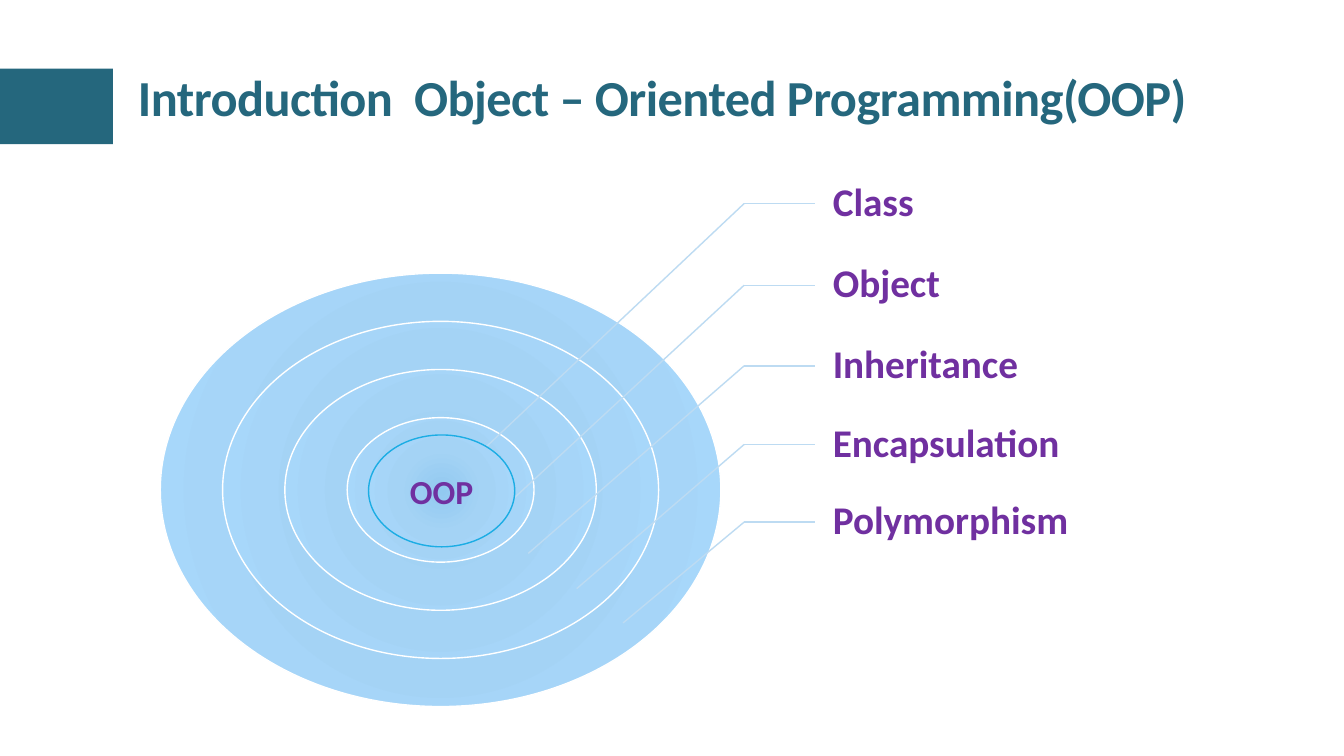
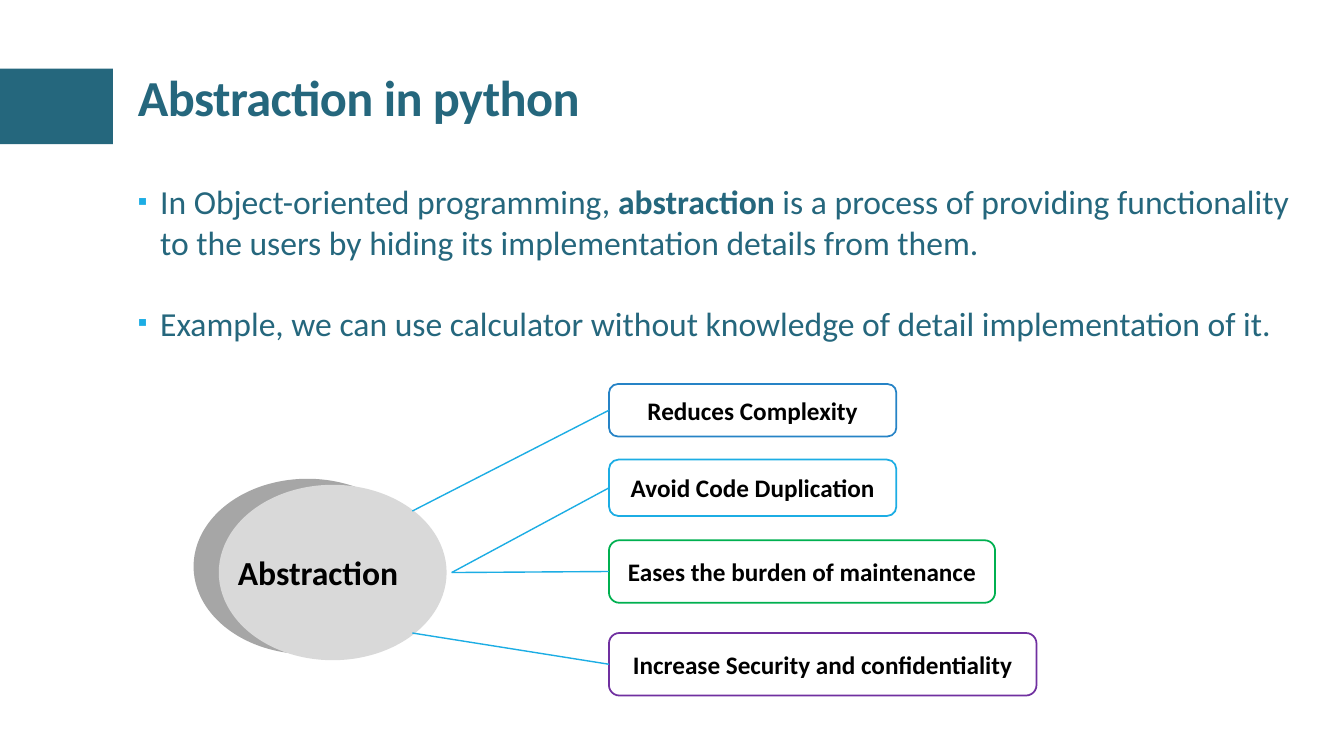
from lxml import etree
from pptx import Presentation
from pptx.dml.color import RGBColor
from pptx.enum.shapes import MSO_CONNECTOR as Connector, MSO_SHAPE as Preset
from pptx.enum.text import MSO_ANCHOR as Anchor, PP_ALIGN as Align
from pptx.oxml import parse_xml
from pptx.oxml.ns import nsdecls, qn
from pptx.util import Inches, Pt

FONT = "Calibri"
TEAL, PURPLE, CYAN, PALE = "25677D", "7030A0", "1CADE4", "BDDBF2"
WHITE, BLACK = "FFFFFF", "000000"
RING_STOPS = ((0, "92C9F0"), (45, "A4D3F5"), (100, "A9D9FD"))


def colour(value):
    return RGBColor.from_string(value)


def write(shape, text, size=24, color=BLACK, bold=False, align=Align.LEFT,
          anchor=Anchor.MIDDLE, insets=(0.1, 0.05, 0.1, 0.05), line_spacing=None,
          tracking=None, bullet=None, gap=0):
    """Each line of text is a paragraph; parts between * are bold."""
    frame = shape.text_frame
    frame.word_wrap = True
    frame.vertical_anchor = anchor
    (frame.margin_left, frame.margin_top,
     frame.margin_right, frame.margin_bottom) = map(Inches, insets)
    for index, line in enumerate(text.split("\n")):
        paragraph = frame.add_paragraph() if index else frame.paragraphs[0]
        paragraph.alignment = align
        if line_spacing:
            paragraph.line_spacing = line_spacing
        if index and gap:
            paragraph.space_before = Pt(gap)
        if bullet:
            add_bullet(paragraph, bullet)
        for part_index, part in enumerate(line.split("*")):
            run = paragraph.add_run()
            run.text = part
            run.font.name = FONT
            run.font.size = Pt(size)
            run.font.bold = bold or part_index % 2 == 1
            run.font.color.rgb = colour(color)
            if tracking:
                run.font._element.set("spc", str(int(tracking * 100)))


def add_bullet(paragraph, color, indent=0.22):
    properties = paragraph._p.get_or_add_pPr()
    properties.set("marL", str(Inches(indent)))
    properties.set("indent", str(-Inches(indent)))
    for part in (f'<a:buClr {nsdecls("a")}><a:srgbClr val="{color}"/></a:buClr>',
                 f'<a:buSzPct {nsdecls("a")} val="80000"/>',
                 f'<a:buFont {nsdecls("a")} typeface="{FONT}"/>',
                 f'<a:buChar {nsdecls("a")} char="▪"/>'):
        properties.append(parse_xml(part))


def add_shape(slide, preset, box, fill=None, line=None, width=1):
    shape = slide.shapes.add_shape(preset, *map(Inches, box))
    shape.shadow.inherit = False
    if fill:
        shape.fill.solid()
        shape.fill.fore_color.rgb = colour(fill)
    if line:
        shape.line.color.rgb = colour(line)
        shape.line.width = Pt(width)
    else:
        shape.line.fill.background()
    return shape


def add_text(slide, box, text, **style):
    shape = slide.shapes.add_textbox(*map(Inches, box))
    write(shape, text, **style)
    return shape


def add_line(slide, start, end, color):
    connector = slide.shapes.add_connector(
        Connector.STRAIGHT, *map(Inches, (*start, *end)))
    connector.line.color.rgb = colour(color)
    connector.line.width = Pt(1)
    etree.SubElement(connector._element.spPr, qn("a:effectLst"))
    return connector


def add_ring(slide, center, size, line):
    """Ellipse around a centre, with a gradient that runs outwards."""
    box = (center[0] - size[0] / 2, center[1] - size[1] / 2, *size)
    ring = add_shape(slide, Preset.OVAL, box, WHITE, line)
    stops = "".join(f'<a:gs pos="{position * 1000}"><a:srgbClr val="{value}"/></a:gs>'
                    for position, value in RING_STOPS)
    gradient = parse_xml(
        f'<a:gradFill {nsdecls("a")} rotWithShape="1"><a:gsLst>{stops}</a:gsLst>'
        '<a:path path="circle">'
        '<a:fillToRect l="50000" t="50000" r="50000" b="50000"/></a:path></a:gradFill>')
    properties = ring._element.spPr
    properties.replace(properties.find(qn("a:solidFill")), gradient)
    return ring


def titled_slide(presentation, title):
    slide = presentation.slides.add_slide(presentation.slide_layouts[6])
    add_shape(slide, Preset.RECTANGLE, (-0.01, 0.68, 1.13, 0.75), TEAL)
    add_text(slide, (1.27, 0.67, 10.99, 0.78), title, size=36, color=TEAL, bold=True,
             anchor=Anchor.TOP, line_spacing=0.9, tracking=-0.4)
    return slide


def ring_diagram(slide, box):
    left, top, width, height = box
    center = (left + width / 2, top + height / 2)

    # Rings, from the outside in
    for index in range(4):
        scale = 1 - index * 2 / 9
        add_ring(slide, center, (width * scale, height * scale), WHITE)

    # Labels with bent leader lines: text, middle, far end of the leader
    labels = (
        ("Class", 2.02, (4.37, 4.86)),
        ("Object", 2.83, (4.83, 5.19)),
        ("Inheritance", 3.63, (5.24, 5.49)),
        ("Encapsulation", 4.41, (5.72, 5.84)),
        ("Polymorphism", 5.18, (6.18, 6.18)),
    )
    label_left, bend_left, label_height = left + 6.49, left + 5.79, 0.76
    for text, middle, target in labels:
        label = add_text(
            slide, (label_left, middle - label_height / 2, 2.78, label_height), text,
            size=28, color=PURPLE, bold=True, line_spacing=0.9,
            insets=(0.18, 0.03, 0.03, 0.03))
        bend = (bend_left, middle)
        add_line(slide, bend, (label_left, middle), PALE).end_connect(label, 1)
        add_line(slide, bend, target, PALE)

    # Core
    core = add_ring(slide, (center[0] + 0.01, center[1] + 0.01), (1.45, 1.11), CYAN)
    write(core, "OOP", color=PURPLE, bold=True, align=Align.CENTER)


def benefit_diagram(slide, box):
    left, top, width, height = box

    # Hub: a disc in front of its darker back, and the label across both
    disc_width, disc_height = 2.26, 1.74
    hub_top = top + 1.0
    add_shape(slide, Preset.OVAL, (left + 0.09, hub_top - 0.06, disc_width, disc_height),
              "A6A6A6")
    add_shape(slide, Preset.OVAL, (left + 0.34, hub_top, disc_width, disc_height),
              "D9D9D9")
    add_text(slide, (left, hub_top + 0.01, 2.65, 1.71), "Abstraction",
             bold=True, align=Align.CENTER)

    # Benefits: text, top, width, height, outline, start of the line
    upper, middle, lower = ((left + 2.26, top + 1.26), (left + 2.65, top + 1.87),
                            (left + 2.26, top + 2.47))
    benefits = (
        ("Reduces Complexity", 0, 2.85, 0.52, "2683C6", upper),
        ("Avoid Code Duplication", 0.75, 2.85, 0.56, CYAN, middle),
        ("Eases the burden of maintenance", 1.55, 3.83, 0.62, "00B050", middle),
        ("Increase Security and confidentiality", 2.47, 4.24, 0.62, PURPLE, lower),
    )
    card_left = left + width - 4.24
    for text, offset, card_width, card_height, outline, start in benefits:
        card_top = top + offset
        card = add_shape(slide, Preset.ROUNDED_RECTANGLE,
                         (card_left, card_top, card_width, card_height),
                         WHITE, outline, 1.25)
        write(card, text, size=18, bold=True, align=Align.CENTER)
        end = (card_left, card_top + card_height / 2)
        add_line(slide, start, end, CYAN).end_connect(card, 1)


def oop_slide(presentation):
    slide = titled_slide(presentation, "Introduction  Object – Oriented Programming(OOP)")
    ring_diagram(slide, (1.59, 2.71, 5.56, 4.3))


def abstraction_slide(presentation):
    slide = titled_slide(presentation, "Abstraction in python")
    add_text(slide, (1.27, 1.75, 11.7, 1.8),
             "In Object-oriented programming, *abstraction* is a process of providing "
             "functionality to the users by hiding its implementation details from them.\n"
             "Example, we can use calculator without knowledge of detail implementation "
             "of it.",
             color=TEAL, anchor=Anchor.TOP, bullet=CYAN, gap=29)
    benefit_diagram(slide, (1.83, 3.81, 8.45, 3.09))


def main():
    presentation = Presentation()
    presentation.slide_width = Inches(13.33)
    presentation.slide_height = Inches(7.5)
    oop_slide(presentation)
    abstraction_slide(presentation)
    presentation.save("out.pptx")


if __name__ == "__main__":
    main()
